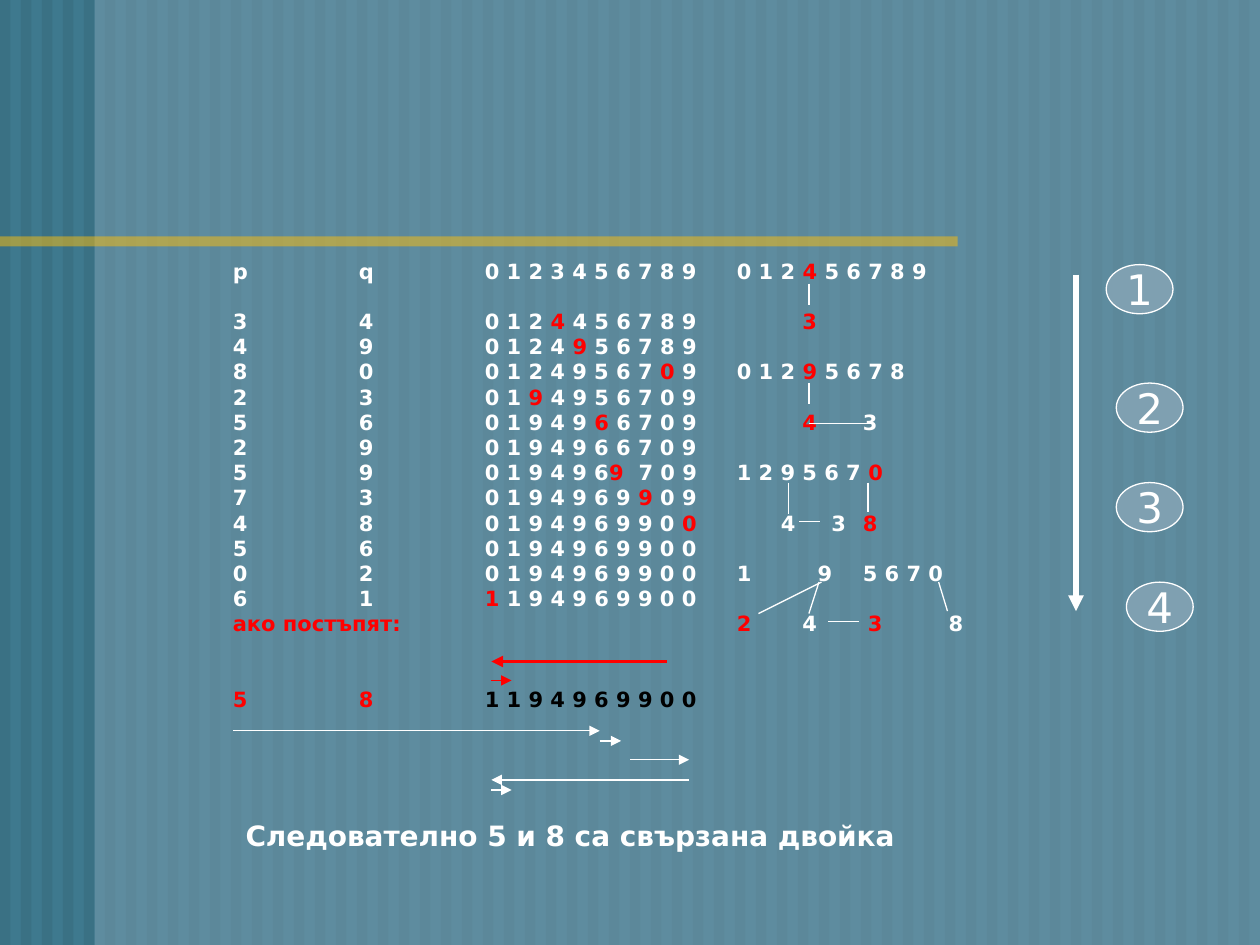
import dataclasses
import pptx
import pptx.dml.color
import pptx.enum.shapes
import pptx.enum.text
import pptx.oxml.ns
import pptx.util
import lxml.etree

COLORS = {
    "background": "3E798E", "stripe": "3A7184", "panel": "7FA0B1",
    "gold": "FFBF0B", "white": "FFFFFF", "red": "FF0000", "black": "000000",
}
FONT = "DejaVu Sans"
WIDTH, HEIGHT = 10, 7.5
STRIPES = 60
GRID_LEFT, GRID_TOP = 1.85, 2.05
ROW_POINTS = 14.4
ROW_HEIGHT = ROW_POINTS / 72
MARGIN_X, MARGIN_Y = 0.1, 0.05
MARKS = {"r": "red", "w": "white", "k": "black"}


@dataclasses.dataclass(frozen=True)
class Row:
    text: str
    stops: tuple[float, ...] = (1, 2, 4, 5)
    rows_before: int = 0


@dataclasses.dataclass(frozen=True)
class Line:
    start: tuple[float, float]
    end: tuple[float, float]
    color: str = "white"
    width: float = 0.75
    arrow: bool = False


@dataclasses.dataclass(frozen=True)
class Step:
    number: str
    column: float
    row: float


ROWS = [
    Row("p\tq\t0 1 2 3 4 5 6 7 8 9\t0 1 2 |r4 |w5 6 7 8 9"),
    Row("3\t4\t0 1 2 |r4|w 4 5 6 7 8 9\t|r3", (1, 2, 4.52), 1),
    Row("4\t9\t0 1 2 4 |r9|w 5 6 7 8 9"),
    Row("8\t0\t0 1 2 4 9 5 6 7 |r0|w 9\t0 1 2 |r9|w 5 6 7 8"),
    Row("2\t3\t0 1 |r9|w 4 9 5 6 7 0 9"),
    Row("5\t6\t0 1 9 4 9 |r6|w 6 7 0 9\t|r4|w\t3", (1, 2, 4.52, 5)),
    Row("2\t9\t0 1 9 4 9 6 6 7 0 9"),
    Row("5\t9\t0 1 9 4 9 6|r9|w\t7 0 9\t1 2 9 5 6 7 |r0", (1, 2, 3.22, 4)),
    Row("7\t3\t0 1 9 4 9 6 9 |r9|w 0 9"),
    Row("4\t8\t0 1 9 4 9 6 9 9 0 |r0|w\t4\t3\t|r8", (1, 2, 4.35, 4.75, 5)),
    Row("5\t6\t0 1 9 4 9 6 9 9 0 0"),
    Row("0\t2\t0 1 9 4 9 6 9 9 0 0\t1\t9\t5 6 7 0", (1, 2, 4, 4.64, 5)),
    Row("6\t1\t|r1|w 1 9 4 9 6 9 9 0 0"),
    Row("|rако постъпят:\t2|w\t4\t|r3\t|w8", (4, 4.52, 5.04, 5.68)),
    Row("|r5\t8|k\t1 1 9 4 9 6 9 9 0 0", (1, 2), 2),
]
LINES = [
    Line((4.57, 1), (4.57, 1.85)),
    Line((4.57, 4.95), (4.57, 5.8)),
    Line((4.57, 6.55), (5.07, 6.55)),
    Line((4.41, 8.9), (4.41, 10.15)),
    Line((4.49, 10.45), (4.66, 10.45)),
    Line((5.04, 8.9), (5.04, 10.05)),
    Line((4.67, 12.85), (4.17, 14.1)),
    Line((4.65, 12.85), (4.57, 14.1)),
    Line((4.72, 14.4), (4.97, 14.4)),
    Line((5.6, 12.85), (5.67, 14)),
    Line((3.44, 16), (2.05, 16), "red", 2.25, True),
    Line((0, 18.75), (2.91, 18.75), arrow=True),
    Line((2.05, 16.75), (2.21, 16.75), "red", arrow=True),
    Line((2.91, 19.15), (3.08, 19.15), arrow=True),
    Line((3.15, 19.9), (3.62, 19.9), arrow=True),
    Line((3.62, 20.7), (2.05, 20.7), arrow=True),
    Line((2.05, 21.1), (2.21, 21.1), arrow=True),
    Line((6.69, 0.65), (6.69, 14), width=3, arrow=True),
]
STEPS = [
    Step("1", 6.93, 0.25), Step("2", 7.01, 4.95),
    Step("3", 7.01, 8.9), Step("4", 7.09, 12.85),
]


def inches(*values: float) -> list[int]:
    return [pptx.util.Inches(value) for value in values]


def grid_point(column: float, row: float) -> list[int]:
    return inches(GRID_LEFT + column, GRID_TOP + row * ROW_HEIGHT)


def rgb(name: str) -> pptx.dml.color.RGBColor:
    return pptx.dml.color.RGBColor.from_string(COLORS[name])


def add_child(parent, tag: str, **attributes: str):
    name = pptx.oxml.ns.qn(tag)
    return lxml.etree.SubElement(parent, name, attributes)


def add_run(paragraph, text: str, *, size: float, color: str = "white", bold: bool = False) -> None:
    run = paragraph.add_run()
    run.text = text
    run.font.name = FONT
    run.font.size = pptx.util.Pt(size)
    run.font.bold = bold
    run.font.color.rgb = rgb(color)


def add_preset(slide, preset, box: list[int], color: str, opacity: int = 100):
    shape = slide.shapes.add_shape(preset, *box)
    shape.shadow.inherit = False
    shape.fill.solid()
    shape.fill.fore_color.rgb = rgb(color)
    shape.line.fill.background()
    if opacity < 100:
        fill_color = shape.fill._xPr.find(".//" + pptx.oxml.ns.qn("a:srgbClr"))
        add_child(fill_color, "a:alpha", val=str(opacity * 1000))
    return shape


def add_text_frame(slide, box: list[int]):
    frame = slide.shapes.add_textbox(*box).text_frame
    frame.word_wrap = True
    frame.margin_left = frame.margin_right = pptx.util.Inches(MARGIN_X)
    frame.margin_top = frame.margin_bottom = pptx.util.Inches(MARGIN_Y)
    return frame


def draw_backdrop(slide) -> None:
    rectangle = pptx.enum.shapes.MSO_SHAPE.RECTANGLE
    slide.background.fill.solid()
    slide.background.fill.fore_color.rgb = rgb("background")
    pitch = WIDTH / STRIPES
    for index in range(STRIPES):
        add_preset(slide, rectangle, inches(index * pitch, 0, pitch / 2, HEIGHT), "stripe")
    add_preset(slide, rectangle, inches(0.75, 0, WIDTH - 0.75, HEIGHT), "panel", 50)
    add_preset(slide, rectangle, inches(0, HEIGHT / 4, WIDTH * 0.76, 0.08), "gold", 50)


def draw_rows(slide) -> None:
    frame = add_text_frame(slide, inches(GRID_LEFT - MARGIN_X, GRID_TOP - MARGIN_Y, 7, 3.94))
    for index, row in enumerate(ROWS):
        paragraph = frame.add_paragraph() if index else frame.paragraphs[0]
        paragraph.line_spacing = pptx.util.Pt(ROW_POINTS)
        paragraph.space_before = pptx.util.Pt(ROW_POINTS * row.rows_before)
        tabs = add_child(paragraph._p.get_or_add_pPr(), "a:tabLst")
        for stop in row.stops:
            add_child(tabs, "a:tab", pos=str(pptx.util.Inches(stop)), algn="l")
        first, *marked = row.text.split("|")
        if first:
            add_run(paragraph, first, size=12, bold=True)
        for part in marked:
            add_run(paragraph, part[1:], size=12, color=MARKS[part[0]], bold=True)


def draw_line(slide, line: Line) -> None:
    straight = pptx.enum.shapes.MSO_CONNECTOR.STRAIGHT
    connector = slide.shapes.add_connector(straight, *grid_point(*line.start), *grid_point(*line.end))
    connector.line.color.rgb = rgb(line.color)
    connector.line.width = pptx.util.Pt(line.width)
    if line.arrow:
        add_child(connector.line._get_or_add_ln(), "a:tailEnd", type="triangle")
    add_child(connector._element.spPr, "a:effectLst")


def draw_step(slide, step: Step) -> None:
    box = grid_point(step.column, step.row) + inches(0.53, 0.39)
    circle = add_preset(slide, pptx.enum.shapes.MSO_SHAPE.OVAL, box, "panel")
    circle.line.color.rgb = rgb("white")
    circle.line.width = pptx.util.Pt(0.75)
    circle.text_frame.word_wrap = False
    circle.text_frame.vertical_anchor = pptx.enum.text.MSO_ANCHOR.MIDDLE
    paragraph = circle.text_frame.paragraphs[0]
    paragraph.alignment = pptx.enum.text.PP_ALIGN.CENTER
    add_run(paragraph, step.number, size=24)


def main() -> None:
    presentation = pptx.Presentation()
    presentation.slide_width, presentation.slide_height = inches(WIDTH, HEIGHT)
    slide = presentation.slides.add_slide(presentation.slide_layouts[6])
    draw_backdrop(slide)
    draw_rows(slide)
    for line in LINES:
        draw_line(slide, line)
    conclusion = add_text_frame(slide, inches(GRID_LEFT, 6.45, 6.69, 0.37))
    add_run(conclusion.paragraphs[0], "Следователно 5 и 8 са свързана двойка", size=16, bold=True)
    for step in STEPS:
        draw_step(slide, step)
    presentation.save("out.pptx")


main()
